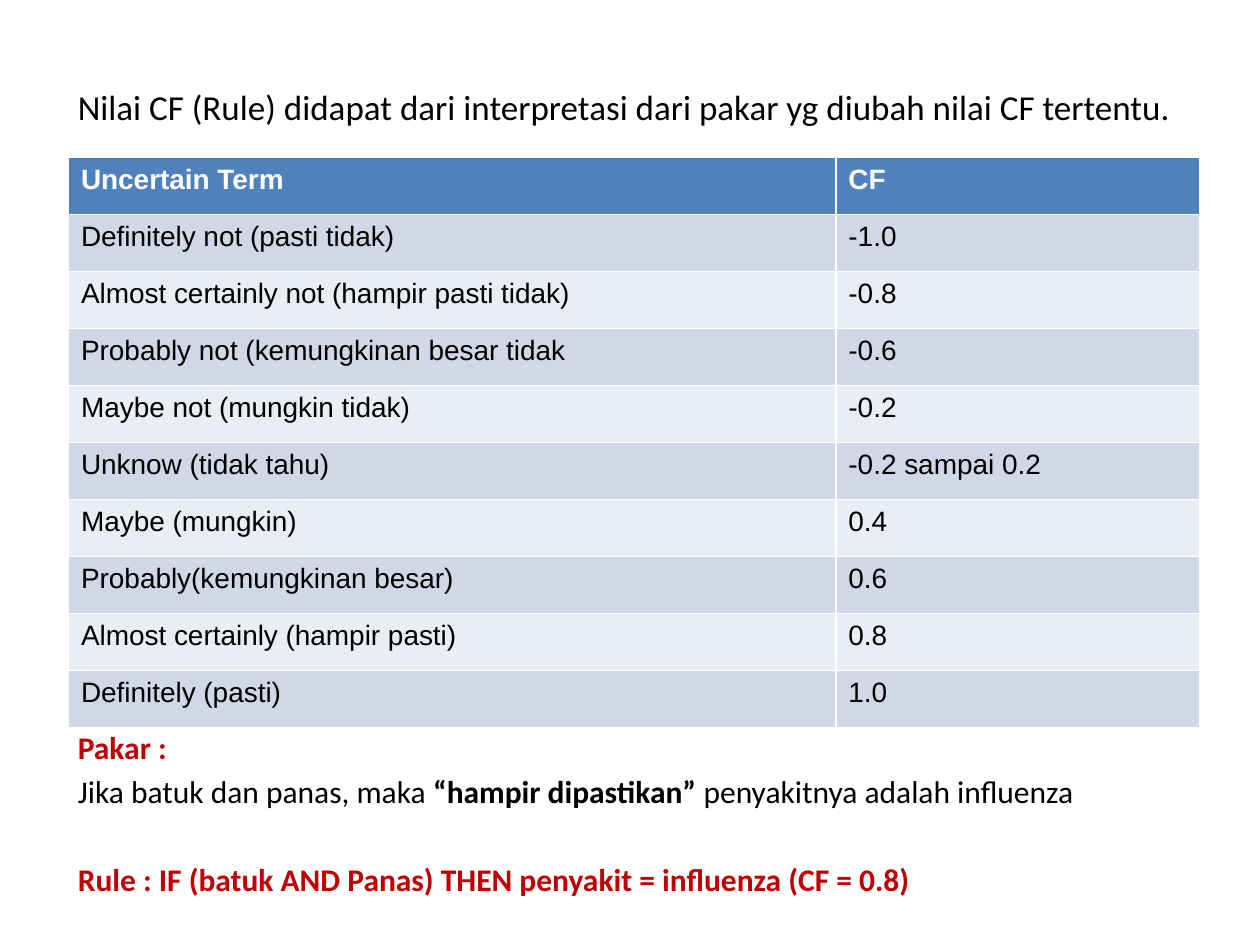
from pptx import Presentation
from pptx.dml.color import RGBColor
from pptx.util import Cm, Pt

COLORS = {
    "black": "000000",
    "white": "FFFFFF",
    "red": "C00000",
    "head": "4F81BD",
    "odd": "D0D8E8",
    "even": "E9EDF4",
}
LEFT = 1.57
TERMS = [
    ("Uncertain Term", "CF"),
    ("Definitely not (pasti tidak)", "-1.0"),
    ("Almost certainly not (hampir pasti tidak)", "-0.8"),
    ("Probably not (kemungkinan besar tidak", "-0.6"),
    ("Maybe not (mungkin tidak)", "-0.2"),
    ("Unknow (tidak tahu)", "-0.2 sampai 0.2"),
    ("Maybe (mungkin)", "0.4"),
    ("Probably(kemungkinan besar)", "0.6"),
    ("Almost certainly (hampir pasti)", "0.8"),
    ("Definitely (pasti)", "1.0"),
]


def rgb(name):
    return RGBColor.from_string(COLORS[name])


def write(para, text, size=18, font="Calibri", color="black", bold=False):
    """Append one formatted run to a paragraph."""
    run = para.add_run()
    run.text = text
    run.font.size = Pt(size)
    run.font.name = font
    run.font.bold = bold
    run.font.color.rgb = rgb(color)


def add_box(slide, top, height):
    """Add a text box without insets and return its frame."""
    box = slide.shapes.add_textbox(Cm(LEFT), Cm(top), Cm(22.4), Cm(height))
    frame = box.text_frame
    frame.word_wrap = True
    frame.margin_left = frame.margin_right = 0
    frame.margin_top = frame.margin_bottom = 0
    return frame


def add_line(frame, before):
    para = frame.add_paragraph()
    para.space_before = Pt(before)
    return para


def add_terms(slide):
    widths, row_height = (15.47, 7.34), 1.15
    table = slide.shapes.add_table(
        len(TERMS), len(widths), Cm(1.38), Cm(3.18),
        Cm(sum(widths)), Cm(row_height * len(TERMS)),
    ).table
    for column, width in zip(table.columns, widths):
        column.width = Cm(width)
    for r, texts in enumerate(TERMS):
        head = r == 0
        table.rows[r].height = Cm(row_height)
        fill = "head" if head else ("even", "odd")[r % 2]
        for c, text in enumerate(texts):
            cell = table.cell(r, c)
            cell.fill.solid()
            cell.fill.fore_color.rgb = rgb(fill)
            write(cell.text_frame.paragraphs[0], text, size=16, font="Arial",
                  color="white" if head else "black", bold=head)


def add_rule(slide):
    frame = add_box(slide, 14.67, 3.6)
    write(frame.paragraphs[0], "Pakar :", color="red", bold=True)
    claim = add_line(frame, 3.5)
    write(claim, "Jika batuk dan panas, maka")
    write(claim, " “hampir dipastikan” ", bold=True)
    write(claim, "penyakitnya adalah influenza")
    write(add_line(frame, 29),
          "Rule : IF (batuk AND Panas) THEN penyakit = influenza (CF = 0.8)",
          color="red", bold=True)


def main():
    deck = Presentation()
    deck.slide_width, deck.slide_height = Cm(25.4), Cm(19.05)
    slide = deck.slides.add_slide(deck.slide_layouts[6])
    intro = add_box(slide, 1.73, 0.9)
    write(intro.paragraphs[0],
          "Nilai CF (Rule) didapat dari interpretasi dari pakar "
          "yg diubah nilai CF tertentu.", size=20)
    add_terms(slide)
    add_rule(slide)
    deck.save("out.pptx")


if __name__ == "__main__":
    main()
